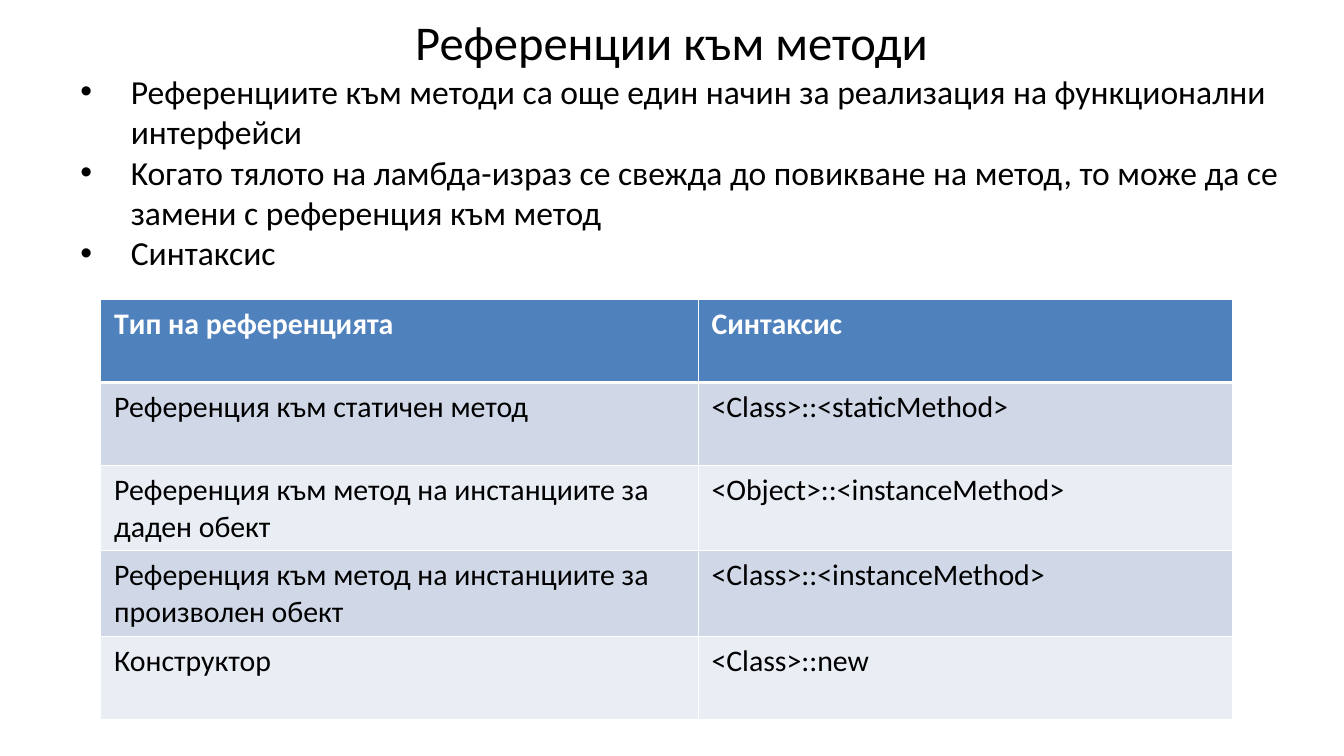
from pptx import Presentation
from pptx.util import Pt
from pptx.dml.color import RGBColor as RGB
from pptx.enum.text import PP_ALIGN as Align, MSO_ANCHOR as Anchor
from pptx.oxml.ns import qn
from lxml.etree import SubElement as Sub

FONT = "Calibri"
COLORS = {"text": "000000", "white": "FFFFFF", "head": "4F81BD",
          "odd": "D0D8E8", "even": "E9EDF4"}

POINTS = [
    "Референциите към методи са още един начин за реализация на функционални интерфейси",
    "Koгато тялото на ламбда-израз се свежда до повикване на метод, то може да се замени с референция към метод",
    "Синтаксис",
]
ROWS = [
    ("Tип на референцията", "Синтаксис"),
    ("Референция към статичен метод", "<Class>::<staticMethod>"),
    ("Референция към метод на инстанциите за даден обект", "<Object>::<instanceMethod>"),
    ("Референция към метод на инстанциите за произволен обект", "<Class>::<instanceMethod>"),
    ("Конструктор", "<Class>::new"),
]


def color(name):
    return RGB.from_string(COLORS[name])


def style(para, size, tint="text", bold=False):
    for run in para.runs:
        font = run.font
        font.name, font.size, font.bold = FONT, Pt(size), bold
        font.color.rgb = color(tint)


def add_text(slide, box, text):
    frame = slide.shapes.add_textbox(*map(Pt, box)).text_frame
    frame.word_wrap = True
    frame.text = text
    return frame


def add_title(slide, box):
    frame = add_text(slide, box, "Референции към методи")
    frame.vertical_anchor = Anchor.MIDDLE
    para = frame.paragraphs[0]
    para.alignment = Align.CENTER
    style(para, 26)


def add_points(slide, box):
    frame = add_text(slide, box, "\n".join(POINTS))
    for para in frame.paragraphs:
        props = para._p.get_or_add_pPr()
        props.set("marL", str(Pt(27)))
        props.set("indent", str(-Pt(27)))
        Sub(props, qn("a:buFont"), typeface="Arial")
        Sub(props, qn("a:buChar"), char="•")
        style(para, 18)


def set_edges(cell, widths):
    # Borders must come before the cell fill
    props = cell._tc.get_or_add_tcPr()
    for side, width in widths.items():
        line = Sub(props, qn("a:" + side), w=str(Pt(width)))
        fill = Sub(line, qn("a:solidFill"))
        Sub(fill, qn("a:srgbClr"), val=COLORS["white"])


def add_grid(slide, box):
    left, top, width, height = box
    grid = slide.shapes.add_table(len(ROWS), 2, *map(Pt, box)).table
    first = 320
    grid.columns[0].width = Pt(first)
    grid.columns[1].width = Pt(width - first)
    for r, texts in enumerate(ROWS):
        grid.rows[r].height = Pt(height / len(ROWS))
        head = r == 0
        shade = "head" if head else "odd" if r % 2 else "even"
        for c, text in enumerate(texts):
            cell = grid.cell(r, c)
            set_edges(cell, {"lnL": 0.45, "lnR": 0.45,
                             "lnT": 1.47 if r == 1 else 0.45,
                             "lnB": 1.47 if head else 0.45})
            cell.fill.solid()
            cell.fill.fore_color.rgb = color(shade)
            cell.text_frame.text = text
            style(cell.text_frame.paragraphs[0], 16,
                  "white" if head else "text", head)


def main():
    deck = Presentation()
    deck.slide_width, deck.slide_height = Pt(720), Pt(405)
    slide = deck.slides.add_slide(deck.slide_layouts[6])
    add_title(slide, (36, 10, 648, 24.5))
    add_points(slide, (36, 34.5, 678, 336))
    add_grid(slide, (54, 160.5, 606, 222.5))
    deck.save("out.pptx")


if __name__ == "__main__":
    main()
